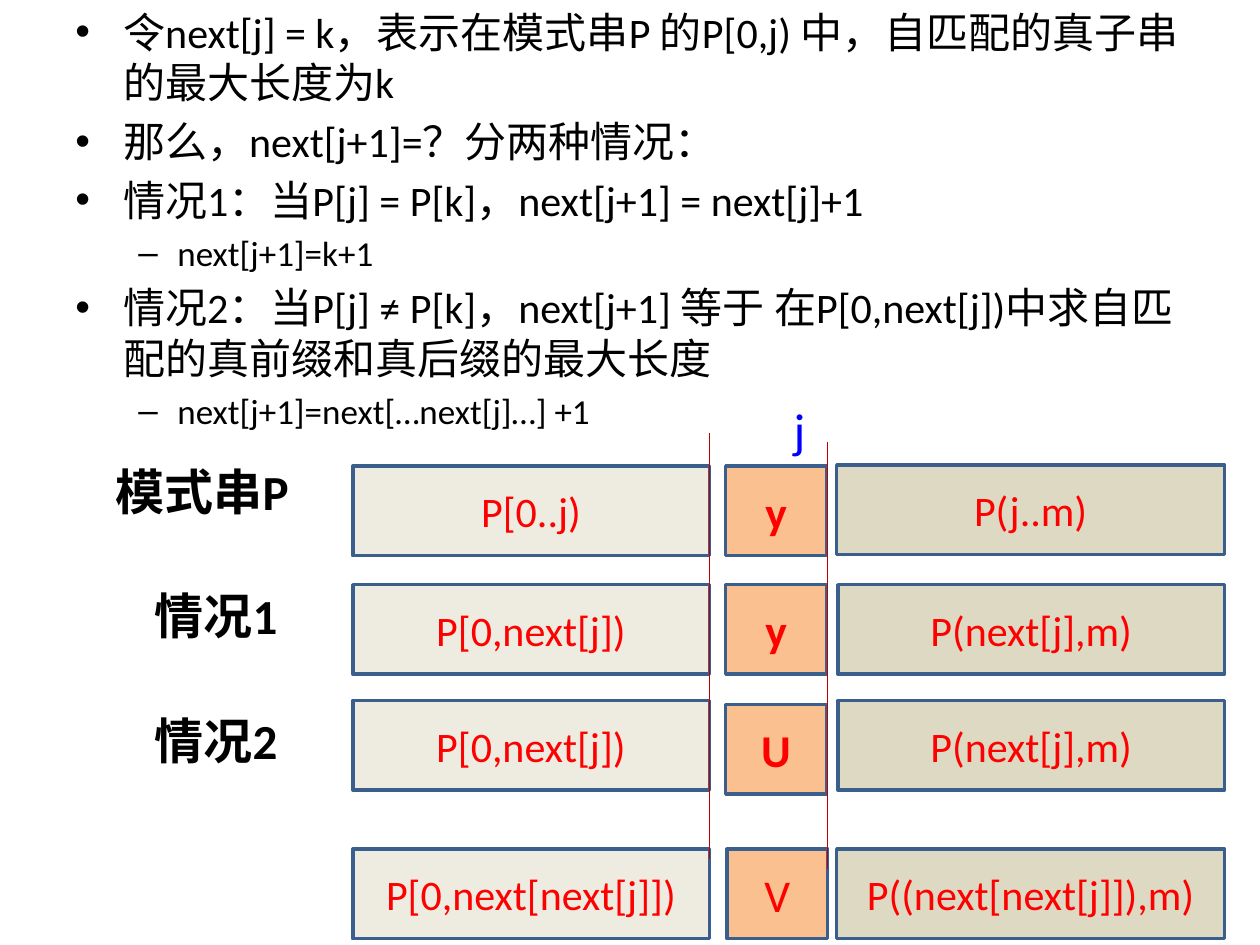
from dataclasses import dataclass

from lxml import etree
from pptx import Presentation
from pptx.dml.color import RGBColor
from pptx.enum.shapes import MSO_CONNECTOR as Connector, MSO_SHAPE as Preset
from pptx.enum.text import MSO_ANCHOR as Anchor, PP_ALIGN as Align
from pptx.oxml.ns import qn
from pptx.util import Inches, Pt


@dataclass(frozen=True)
class Theme:
    font: str = "Calibri"
    ink: str = "000000"
    red: str = "FF0000"
    blue: str = "0000FF"
    guide: str = "C00000"
    outline: str = "3A5F8C"
    prefix: str = "EEECE1"
    middle: str = "FAC090"
    suffix: str = "DDD9C3"
    body: int = 24
    sub: int = 20
    letter: int = 26
    label: int = 28


THEME = Theme()

POINTS = [
    (0, "令next[j] = k，表示在模式串P 的P[0,j) 中，自匹配的真子串的最大长度为k"),
    (0, "那么，next[j+1]=？分两种情况："),
    (0, "情况1：当P[j] = P[k]，next[j+1] = next[j]+1"),
    (1, "next[j+1]=k+1"),
    (0, "情况2：当P[j] ≠ P[k]，next[j+1] 等于 在P[0,next[j])中求自匹配的真前缀和真后缀的最大长度"),
    (1, "next[j+1]=next[…next[j]…] +1"),
]

# Each cell: text, left, top, width
ROWS = [
    [("P[0..j)", 2.8, 3.7, 2.83), ("y", 5.76, 3.7, 0.8), ("P(j..m)", 6.64, 3.69, 3.08)],
    [("P[0,next[j])", 2.8, 4.64, 2.83), ("y", 5.76, 4.64, 0.8),
     ("P(next[j],m)", 6.65, 4.64, 3.07)],
    [("P[0,next[j])", 2.8, 5.56, 2.83), ("U", 5.76, 5.59, 0.8),
     ("P(next[j],m)", 6.65, 5.56, 3.07)],
    [("P[0,next[next[j]])", 2.8, 6.74, 2.83), ("V", 5.77, 6.74, 0.8),
     ("P((next[next[j]]),m)", 6.64, 6.74, 3.08)],
]
CELL_HEIGHT = 0.71

LABELS = [
    ("模式串P", (0.82, 3.61, 1.58, 0.57)),
    ("情况1", (1.13, 4.6, 1.19, 0.57)),
    ("情况2", (1.13, 5.59, 1.19, 0.57)),
]
GUIDES = [(5.63, 3.44, 6.82), (6.57, 3.51, 6.9)]


def colour(value):
    return RGBColor.from_string(value)


def add_span(para, text, size, ink, bold=False):
    span = para.add_run()
    span.text = text
    span.font.name = THEME.font
    span.font.size = Pt(size)
    span.font.bold = bold
    span.font.color.rgb = colour(ink)


def add_text_box(page, box):
    frame = page.shapes.add_textbox(*map(Inches, box)).text_frame
    frame.word_wrap = True
    return frame


def set_bullet(para, level):
    symbol, margin, hang = [("•", 0.38, 0.38), ("–", 0.81, 0.31)][level]
    props = para._p.get_or_add_pPr()
    props.set("marL", str(Inches(margin)))
    props.set("indent", str(-Inches(hang)))
    etree.SubElement(props, qn("a:buFont")).set("typeface", "Arial")
    etree.SubElement(props, qn("a:buChar")).set("char", symbol)


def add_points(page, box):
    frame = add_text_box(page, box)
    for index, (level, text) in enumerate(POINTS):
        para = frame.add_paragraph() if index else frame.paragraphs[0]
        size = THEME.sub if level else THEME.body
        para.level = level
        para.space_before = Pt(size * 0.2)
        set_bullet(para, level)
        add_span(para, text, size, THEME.ink)


def add_cell(page, box, text, fill, size, bold):
    cell = page.shapes.add_shape(Preset.RECTANGLE, *map(Inches, box))
    cell.shadow.inherit = False
    cell.fill.solid()
    cell.fill.fore_color.rgb = colour(fill)
    cell.line.color.rgb = colour(THEME.outline)
    cell.line.width = Pt(2)
    frame = cell.text_frame
    frame.word_wrap = True
    frame.vertical_anchor = Anchor.MIDDLE
    para = frame.paragraphs[0]
    para.alignment = Align.CENTER
    add_span(para, text, size, THEME.red, bold)


def add_row(page, cells):
    """Place the prefix, the single letter and the suffix of one string."""
    styles = [(THEME.prefix, THEME.body), (THEME.middle, THEME.letter),
              (THEME.suffix, THEME.body)]
    for (text, left, top, width), (fill, size) in zip(cells, styles):
        add_cell(page, (left, top, width, CELL_HEIGHT), text, fill, size,
                 bold=text in ("y", "U"))


def add_label(page, box, text, ink=THEME.ink, bold=True):
    para = add_text_box(page, box).paragraphs[0]
    add_span(para, text, THEME.label, ink, bold)


def add_guide(page, x, top, bottom):
    guide = page.shapes.add_connector(
        Connector.STRAIGHT, Inches(x), Inches(top), Inches(x), Inches(bottom))
    guide.line.color.rgb = colour(THEME.guide)
    guide.line.width = Pt(0.75)
    etree.SubElement(guide._element.spPr, qn("a:effectLst"))


def main():
    deck = Presentation()
    deck.slide_width, deck.slide_height = Inches(10), Inches(7.5)
    page = deck.slides.add_slide(deck.slide_layouts[6])
    add_points(page, (0.5, 0, 9, 7.37))
    for cells in ROWS:
        add_row(page, cells)
    for text, box in LABELS:
        add_label(page, box, text)
    add_label(page, (6.2, 3.12, 0.31, 0.57), "j", THEME.blue, bold=False)
    for guide in GUIDES:
        add_guide(page, *guide)
    deck.save("out.pptx")


if __name__ == "__main__":
    main()
